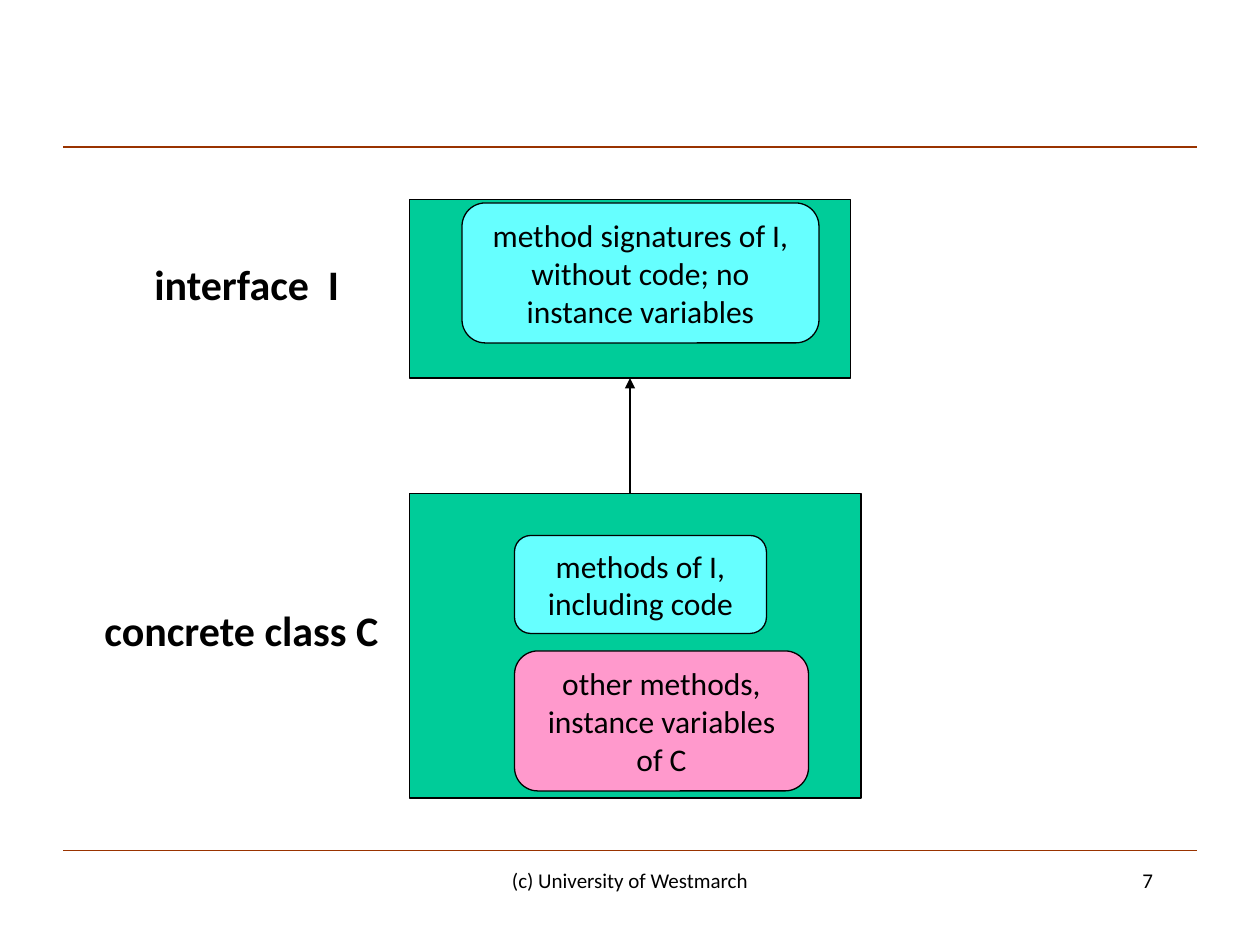
from lxml import etree
from pptx import Presentation
from pptx.dml.color import RGBColor
from pptx.enum import shapes, text
from pptx.oxml import ns
from pptx.util import Pt

HUES = {
    "ink": "000000",
    "rule": "993300",
    "class": "00CC99",
    "shared": "66FFFF",
    "own": "FF99CC",
}
KIND = shapes.MSO_SHAPE
SIDE = text.PP_ALIGN


class Board:
    def __init__(self, slide, font="Calibri", width=0.75):
        self.slide, self.font, self.width = slide, font, width

    def hue(self, name):
        return RGBColor.from_string(HUES[name])

    def letter(self, shape, words, size, align=SIDE.CENTER, bold=False, before=0):
        frame = shape.text_frame
        frame.word_wrap = True
        para = frame.paragraphs[0]
        para.text = words
        para.alignment = align
        para.space_before = Pt(before)
        para.font.name = self.font
        para.font.size = Pt(size)
        para.font.bold = bold
        para.font.color.rgb = self.hue("ink")

    def label(self, words, area, size, **style):
        box = self.slide.shapes.add_textbox(*map(Pt, area))
        self.letter(box, words, size, **style)

    def block(self, kind, area, fill):
        shape = self.slide.shapes.add_shape(kind, *map(Pt, area))
        shape.shadow.inherit = False
        shape.fill.solid()
        shape.fill.fore_color.rgb = self.hue(fill)
        shape.line.color.rgb = self.hue("ink")
        shape.line.width = Pt(self.width)
        return shape

    def frame(self, area):
        return self.block(KIND.RECTANGLE, area, "class")

    def member(self, words, area, fill):
        shape = self.block(KIND.ROUNDED_RECTANGLE, area, fill)
        shape.text_frame.vertical_anchor = text.MSO_ANCHOR.MIDDLE
        self.letter(shape, words, 18)

    def line(self, ends, color):
        line = self.slide.shapes.add_connector(
            shapes.MSO_CONNECTOR.STRAIGHT, *map(Pt, ends))
        line.line.color.rgb = self.hue(color)
        line.line.width = Pt(self.width)
        etree.SubElement(line._element.spPr, ns.qn("a:effectLst"))
        return line

    def arrow(self, ends, target, site):
        line = self.line(ends, "ink")
        line.end_connect(target, site)
        stroke = line._element.spPr.find(ns.qn("a:ln"))
        etree.SubElement(stroke, ns.qn("a:tailEnd"), type="triangle")


def main():
    deck = Presentation()
    deck.slide_width, deck.slide_height = Pt(720), Pt(540)
    board = Board(deck.slides.add_slide(deck.slide_layouts[6]))

    for y in (84, 486):
        board.line((36, y, 684, y), "rule")

    heading = {"size": 24, "bold": True, "before": 15}
    iface = board.frame((234, 114, 252, 102))
    board.label("interface  I", (60, 144, 162, 36), **heading)
    board.member("method signatures of I, without code; no instance variables",
                 (264, 116, 204, 80), "shared")

    board.label("concrete class C", (48, 342, 180, 65), **heading)
    board.frame((234, 282, 258, 174))
    board.member("methods of I, including code", (294, 306, 144, 56), "shared")
    board.member("other methods, instance variables of C",
                 (294, 372, 168, 80), "own")

    board.arrow((360, 282, 360, 216), iface, 2)

    board.label("(c) University of Westmarch", (246, 492, 228, 36), 12)
    board.label("7", (516, 492, 150, 36), 12, align=SIDE.RIGHT)

    deck.save("out.pptx")


if __name__ == "__main__":
    main()
